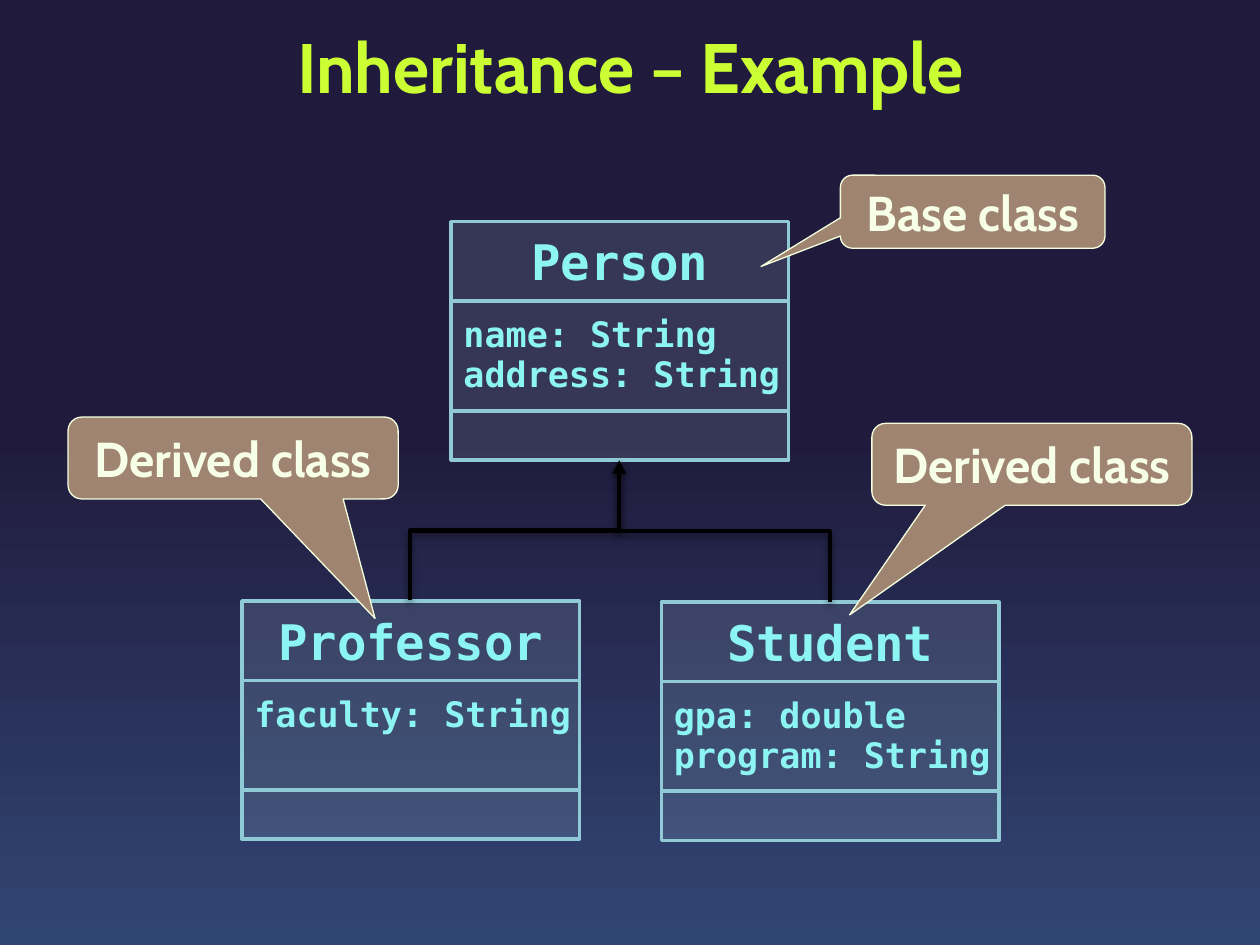
from lxml import etree
from pptx import Presentation
from pptx.dml.color import RGBColor
from pptx.enum.shapes import MSO_CONNECTOR, MSO_SHAPE
from pptx.enum.text import MSO_ANCHOR, PP_ALIGN
from pptx.oxml.ns import qn
from pptx.util import Inches, Pt

RECT, CALLOUT = MSO_SHAPE.RECTANGLE, MSO_SHAPE.ROUNDED_RECTANGULAR_CALLOUT
ELBOW = MSO_CONNECTOR.ELBOW
MIDDLE = MSO_ANCHOR.MIDDLE
LEFT, CENTER = PP_ALIGN.LEFT, PP_ALIGN.CENTER

NIGHT = RGBColor(0x20, 0x1B, 0x3D)
BLUE = RGBColor(0x31, 0x45, 0x73)
LIME = RGBColor(0xCC, 0xFF, 0x33)
ICE = RGBColor(0xB5, 0xDB, 0xE5)
TEAL = RGBColor(0x90, 0xCA, 0xD7)
CYAN = RGBColor(0x8C, 0xF4, 0xF2)
BROWN = RGBColor(0x9F, 0x84, 0x71)
CREAM = RGBColor(0xF5, 0xFF, 0xE0)
IVORY = RGBColor(0xF7, 0xFF, 0xE7)
BLACK = RGBColor(0, 0, 0)
SANS, MONO = "Cabin", "DejaVu Sans Mono"

prs = Presentation()
prs.slide_width, prs.slide_height = Inches(10), Inches(7.5)
COL, ROW = prs.slide_width / 100, prs.slide_height / 75
slide = prs.slides.add_slide(prs.slide_layouts[6])
shapes = slide.shapes

fill = slide.background.fill
fill.gradient()
fill.gradient_angle = 90
for stop, color, position in zip(fill.gradient_stops, (BLUE, NIGHT), (0, 0.54)):
    stop.color.rgb = color
    stop.position = position


def grid(x, y, w, h):
    return int(x * COL), int(y * ROW), int(w * COL), int(h * ROW)


def write(sp, text, size, color, font=SANS, align=CENTER, spacing=1.0, wrap=True):
    tf = sp.text_frame
    tf.word_wrap = wrap
    tf.vertical_anchor = MIDDLE
    for i, line in enumerate(text.split("\n")):
        p = tf.add_paragraph() if i else tf.paragraphs[0]
        p.alignment = align
        p.line_spacing = spacing
        r = p.add_run()
        r.text = line
        r.font.name, r.font.size, r.font.bold = font, Pt(size), True
        r.font.color.rgb = color


title = shapes.add_textbox(*grid(1.7, 0.8, 96.7, 9.9))
write(title, "Inheritance – Example", 40, LIME, spacing=Pt(40))

BOX_W = 26.8
NAME_H, FIELDS_H, METHODS_H = 6.3, 8.7, 3.9
classes = [
    (35.8, 17.6, "Person", "name: String\naddress: String", 0.5),
    (19.2, 47.7, "Professor", "faculty: String", 3.6),
    (52.5, 47.8, "Student", "gpa: double\nprogram: String", 0.5),
]
for x, y, name, fields, inset in classes:
    parts = [(name, NAME_H, 28, CENTER, 1.0), (fields, FIELDS_H, 20, LEFT, 0.95),
             ("", METHODS_H, 20, LEFT, 1.0)]
    for text, h, size, align, spacing in parts:
        sp = shapes.add_shape(RECT, *grid(x, y, BOX_W, h))
        sp.shadow.inherit = False
        sp.fill.solid()
        sp.fill.fore_color.rgb = ICE
        tint = sp.fill._xPr.find(qn("a:solidFill"))[0]
        etree.SubElement(tint, qn("a:alpha"), val="15000")
        sp.line.color.rgb, sp.line.width = TEAL, Pt(2)
        if text:
            write(sp, text, size, CYAN, MONO, align, spacing, wrap=False)
        if text == fields:
            sp.text_frame.margin_bottom = int(inset * ROW)
        y += h

callouts = [
    (66.7, 13.9, 21, 5.8, "Base class", -0.8, 0.75),
    (69.2, 33.6, 25.4, 6.5, "Derived class", -0.57, 1.84),
    (5.4, 33.1, 26.2, 6.5, "Derived class", 0.43, 1.96),
]
for x, y, w, h, text, tip_x, tip_y in callouts:
    sp = shapes.add_shape(CALLOUT, *grid(x, y, w, h))
    sp.shadow.inherit = False
    sp.adjustments[0], sp.adjustments[1] = tip_x, tip_y
    sp.fill.solid()
    sp.fill.fore_color.rgb = BROWN
    sp.line.color.rgb, sp.line.width = CREAM, Pt(0.75)
    write(sp, text, 28, IVORY)

arrows = [
    (35.3, 33.8, 11.1, 16.6, {"rot": "5400000", "flipH": "1", "flipV": "1"}),
    (51.9, 33.8, 11.2, 16.7, {"rot": "16200000", "flipV": "1"}),
]
for x, y, w, h, turn in arrows:
    left, top, width, height = grid(x, y, w, h)
    cx = shapes.add_connector(ELBOW, left, top, left + width, top + height)
    cx.line.color.rgb, cx.line.width = BLACK, Pt(2.5)
    etree.SubElement(cx.line._get_or_add_ln(), qn("a:tailEnd"), type="triangle")
    spPr = cx._element.spPr
    for key, value in turn.items():
        spPr.find(qn("a:xfrm")).set(key, value)
    effects = etree.SubElement(spPr, qn("a:effectLst"))
    shadow = etree.SubElement(effects, qn("a:outerShdw"), blurRad=str(Pt(4)),
                              dist=str(Pt(2)), dir="5400000", rotWithShape="0")
    tone = etree.SubElement(shadow, qn("a:srgbClr"), val=str(BLACK))
    etree.SubElement(tone, qn("a:alpha"), val="43000")

prs.save("out.pptx")
